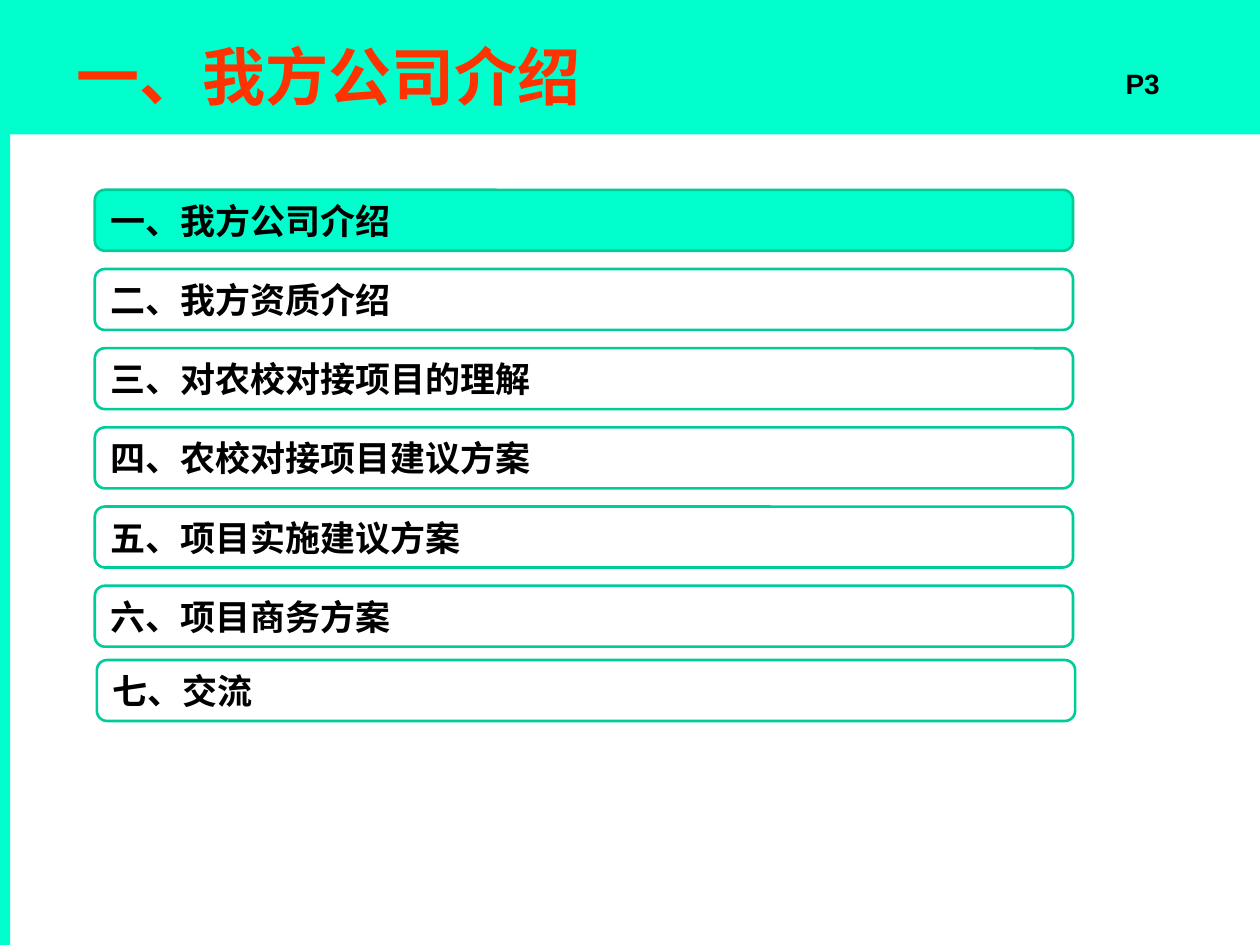
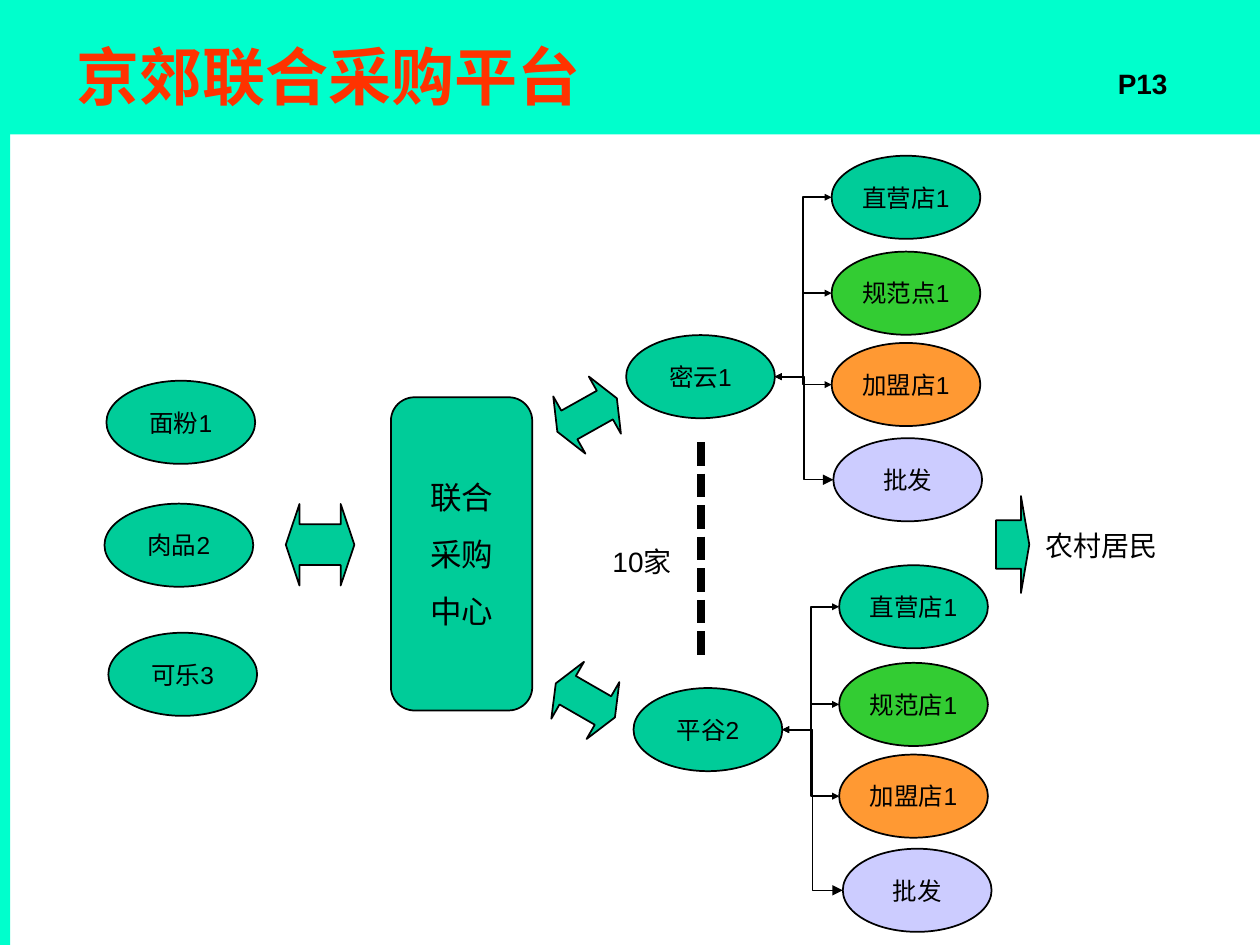
"""Build the agenda slide and the joint purchasing diagram."""
from typing import NamedTuple, Optional

from lxml import etree
from pptx import Presentation
from pptx.dml.color import RGBColor
from pptx.enum.dml import MSO_LINE
from pptx.enum.shapes import MSO_CONNECTOR, MSO_SHAPE
from pptx.enum.text import MSO_ANCHOR, PP_ALIGN
from pptx.oxml.ns import qn
from pptx.util import Pt

LEFT, CENTER = PP_ALIGN.LEFT, PP_ALIGN.CENTER
MIDDLE, TOP = MSO_ANCHOR.MIDDLE, MSO_ANCHOR.TOP
RECT, ROUND = MSO_SHAPE.RECTANGLE, MSO_SHAPE.ROUNDED_RECTANGLE
OVAL = MSO_SHAPE.OVAL
BOTH, RIGHT = MSO_SHAPE.LEFT_RIGHT_ARROW, MSO_SHAPE.RIGHT_ARROW
ELBOW, STRAIGHT = MSO_CONNECTOR.ELBOW, MSO_CONNECTOR.STRAIGHT
DOTS = MSO_LINE.SQUARE_DOT

MINT, TEAL, GREEN = "00FFCC", "00CC99", "33CC33"
AMBER, LILAC, RED, BLACK = "FF9933", "CCCCFF", "FF3300", "000000"
SANS, HAN, SERIF = "Arial", "Noto Sans CJK SC", "Times New Roman"
NODE_W, NODE_H = 85, 47.5


class Area(NamedTuple):
    """A place on the slide, in points."""
    x: float
    y: float
    w: float
    h: float


class Style(NamedTuple):
    """How a piece of text looks."""
    size: float
    font: str = SANS
    color: str = BLACK
    bold: bool = False
    align: PP_ALIGN = CENTER
    line: float = 0
    gap: float = 0


class Node(NamedTuple):
    """An oval with a label."""
    text: str
    x: float
    y: float
    fill: str = TEAL


class Branch(NamedTuple):
    """A hub with the outlets it serves."""
    hub: Node
    shops: tuple[Node, ...]


class Arrow(NamedTuple):
    """A block arrow."""
    kind: MSO_SHAPE
    area: Area
    turn: float
    head: float


HEAD = Style(36, HAN, RED, True, LEFT)
PAGE = Style(16, bold=True)
ITEM = Style(20, HAN, bold=True, align=LEFT)
NAME = Style(14)
NOTE = Style(16, line=18.9)
CORE = Style(18, line=21.6, gap=11.2)

TOPICS = ("一、我方公司介绍", "二、我方资质介绍", "三、对农校对接项目的理解",
          "四、农校对接项目建议方案", "五、项目实施建议方案", "六、项目商务方案")
LAST = "七、交流"

MAKERS = (Node("面粉1", 60.8, 217.6), Node("肉品2", 59.7, 287.8),
          Node("可乐3", 61.9, 361.6))
BRANCHES = (
    Branch(Node("密云1", 357.8, 191.5),
           (Node("直营店1", 475.2, 89), Node("规范点1", 475.2, 143.8, GREEN),
            Node("加盟店1", 475.2, 196, AMBER), Node("批发", 476.2, 250.4, LILAC))),
    Branch(Node("平谷2", 362, 393.2),
           (Node("直营店1", 479.5, 323), Node("规范店1", 479.5, 378.8, GREEN),
            Node("加盟店1", 479.5, 431.2, AMBER), Node("批发", 481.6, 485, LILAC))),
)
ARROWS = (
    Arrow(BOTH, Area(163.3, 288, 39.2, 46.6), 0, 0.2),
    Arrow(BOTH, Area(316, 218.4, 39, 37.5), 330.7, 0.21),
    Arrow(BOTH, Area(315, 381.5, 39, 37.5), 29.9, 0.21),
    Arrow(RIGHT, Area(569.2, 283.5, 19, 55.4), 0, 0.25),
)


def rgb(code: str) -> RGBColor:
    """Turn a hex string into a colour."""
    return RGBColor.from_string(code)


def place(shape, area: Area) -> None:
    """Move and size a shape."""
    shape.left, shape.top, shape.width, shape.height = map(Pt, area)


def write(shape, lines: tuple[str, ...], style: Style, anchor=MIDDLE, wrap=True) -> None:
    """Fill a shape with one paragraph per line."""
    frame = shape.text_frame
    frame.word_wrap, frame.vertical_anchor = wrap, anchor
    for i, line in enumerate(lines):
        para = frame.paragraphs[0] if i == 0 else frame.add_paragraph()
        para.alignment = style.align
        if style.line:
            para.line_spacing = Pt(style.line)
        if i:
            para.space_before = Pt(style.gap)
        run = para.add_run()
        run.text = line
        font = run.font
        font.size, font.bold = Pt(style.size), style.bold
        font.color.rgb = rgb(style.color)
        font.name = style.font
        asian = etree.SubElement(run._r.get_or_add_rPr(), qn("a:ea"))
        asian.set("typeface", HAN)


def draw(slide, kind, area: Area, fill: Optional[str], edge: Optional[str] = BLACK, width: float = 1):
    """Add a preset shape with a flat fill and edge."""
    shape = slide.shapes.add_shape(kind, *map(Pt, area))
    shape.shadow.inherit = False
    if fill:
        shape.fill.solid()
        shape.fill.fore_color.rgb = rgb(fill)
    else:
        shape.fill.background()
    if edge:
        shape.line.color.rgb = rgb(edge)
        shape.line.width = Pt(width)
    else:
        shape.line.fill.background()
    return shape


def label(slide, text: str, area: Area, style: Style) -> None:
    """Add a plain text box."""
    write(slide.shapes.add_textbox(*map(Pt, area)), (text,), style, TOP)


def join(slide, kind, start: tuple, end: tuple, width: float):
    """Add a black connector and return it."""
    link = slide.shapes.add_connector(kind, *map(Pt, start + end))
    link.line.color.rgb = rgb(BLACK)
    link.line.width = Pt(width)
    etree.SubElement(link._element.spPr, qn("a:effectLst"))
    return link


def tip(link, ends: tuple[str, ...], size: str) -> None:
    """Put arrowheads on the named ends of a connector."""
    for end in ends:
        etree.SubElement(link.line._get_or_add_ln(), qn(f"a:{end}"),
                         type="triangle", w=size, len=size)


def oval(slide, node: Node) -> None:
    """Draw a labelled oval."""
    shape = draw(slide, OVAL, Area(node.x, node.y, NODE_W, NODE_H), node.fill)
    write(shape, (node.text,), NAME, wrap=False)


def bands(prs, slide) -> None:
    """Put the shared colour bands on the master."""
    areas = (Area(5.8, 0, 714.2, 76.8), Area(0, 0, 5.8, 540))
    for key, area in enumerate(areas, 101):
        band = draw(slide, RECT, area, MINT, None).element
        band.nvSpPr.cNvPr.set("id", str(key))
        prs.slide_master.shapes.element.append(band)


def start(prs, title: str, page: str, style: Style):
    """Add a slide with its title and page mark."""
    slide = prs.slides.add_slide(prs.slide_layouts[5])
    place(slide.shapes.title, Area(36.7, 10.8, 574.6, 64))
    write(slide.shapes.title, (title,), style)
    label(slide, page, Area(624.2, 34.6, 57.6, 26.6), PAGE)
    return slide


def topic(slide, text: str, x: float, y: float, fill: Optional[str] = None) -> None:
    """Draw one agenda bar."""
    bar = draw(slide, ROUND, Area(x, y, 559, 34.8), fill, TEAL, 1.5)
    write(bar, (text,), ITEM)


def agenda(slide) -> None:
    """Draw the list of chapters with the first one lit."""
    for i, text in enumerate(TOPICS):
        topic(slide, text, 54.2, 108.5 + 45.25 * i, None if i else MINT)
    topic(slide, LAST, 55.4, 377.2)


def tree(slide, branch: Branch) -> None:
    """Draw a hub, its outlets and the links between them."""
    hub = branch.hub
    oval(slide, hub)
    root = (hub.x + NODE_W, hub.y + NODE_H / 2)
    for shop in branch.shops:
        oval(slide, shop)
        sale = shop.fill == LILAC
        link = join(slide, ELBOW, root, (shop.x, shop.y + NODE_H / 2), 0.75 if sale else 1)
        if sale:
            tip(link, ("tailEnd",), "med")
        else:
            tip(link, ("headEnd", "tailEnd"), "sm")


def market(slide) -> None:
    """Draw the purchasing platform from makers to villagers."""
    for maker in MAKERS:
        oval(slide, maker)
    for branch in BRANCHES:
        tree(slide, branch)
    join(slide, STRAIGHT, (400.4, 252.6), (400.4, 378.6), 4.5).line.dash_style = DOTS
    label(slide, "10家", Area(342, 308, 49.7, 46), NOTE)
    label(slide, "农村居民", Area(588.4, 299, 82, 26.6), NOTE)
    core = draw(slide, ROUND, Area(223.4, 227, 80.8, 179), TEAL)
    write(core, ("联合", "采购", "中心"), CORE, wrap=False)
    for arrow in ARROWS:
        shape = draw(slide, arrow.kind, arrow.area, TEAL)
        shape.adjustments[0], shape.adjustments[1] = 0.5, arrow.head
        shape.rotation = arrow.turn


def main() -> None:
    """Build and save the deck."""
    prs = Presentation()
    prs.slide_width, prs.slide_height = Pt(720), Pt(540)
    first = start(prs, TOPICS[0], "P3", HEAD._replace(font=SERIF))
    bands(prs, first)
    agenda(first)
    market(start(prs, "京郊联合采购平台", "P13", HEAD))
    prs.save("out.pptx")


if __name__ == "__main__":
    main()
